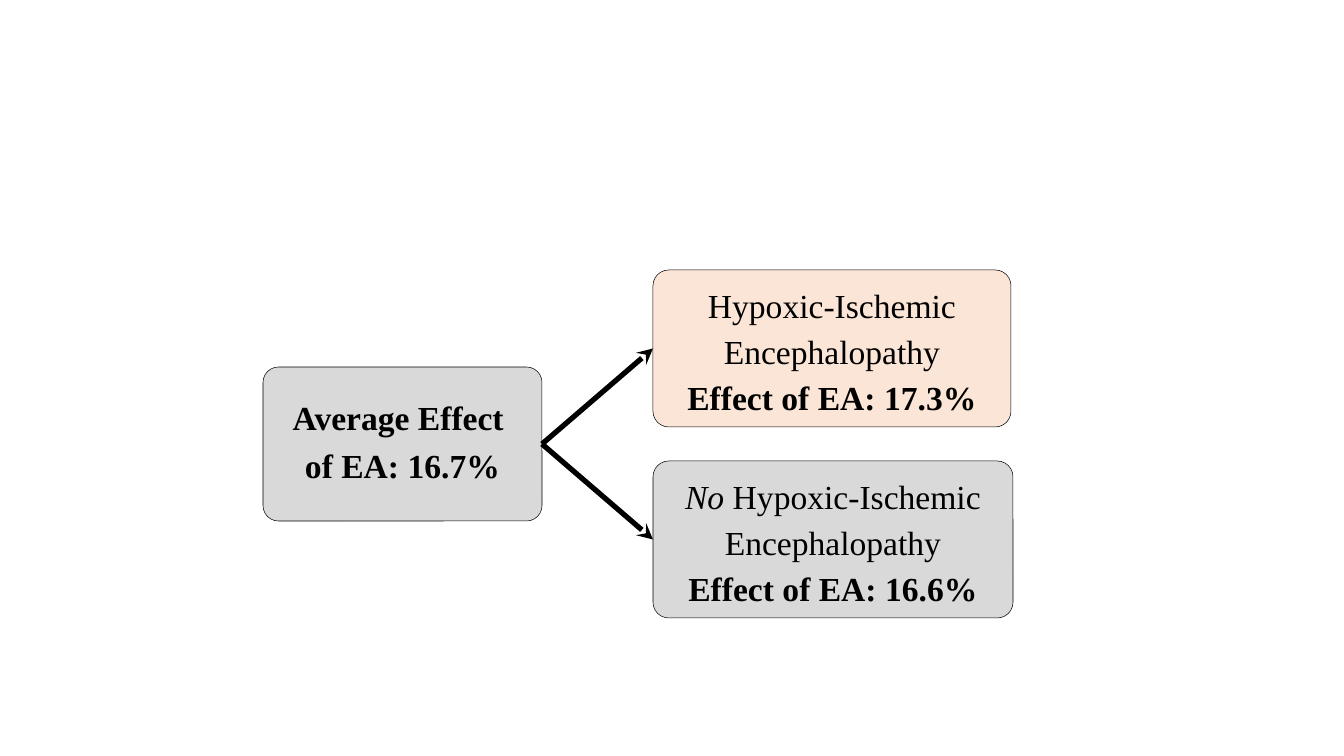
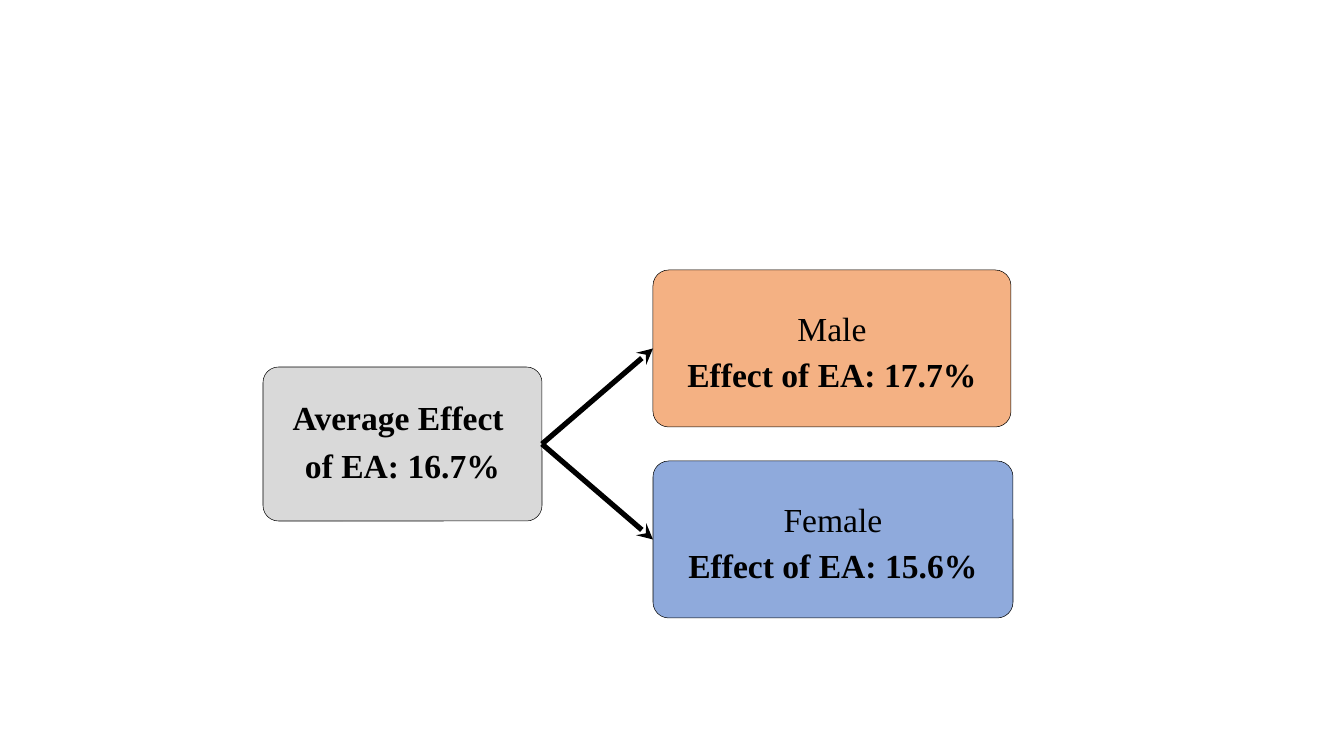
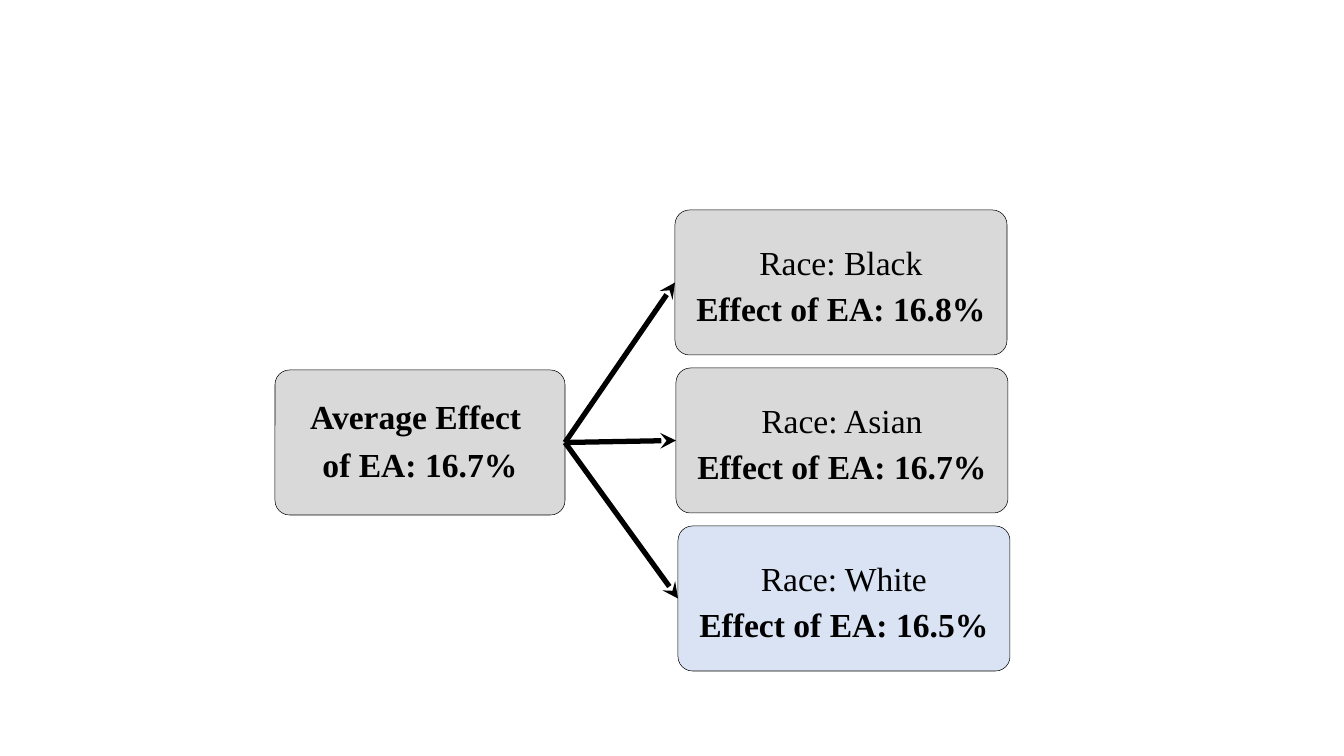
"""Build three slides that split the average effect of EA into subgroups."""
import pptx
import pptx.util
import pptx.dml.color
import pptx.enum.shapes
import pptx.enum.text
import pptx.oxml.ns
import lxml.etree

RGB = pptx.dml.color.RGBColor
BLACK = RGB(0x00, 0x00, 0x00)
GREY = RGB(0xD9, 0xD9, 0xD9)
PEACH = RGB(0xFB, 0xE5, 0xD6)
ORANGE = RGB(0xF4, 0xB1, 0x83)
BLUE = RGB(0x8F, 0xAA, 0xDC)
PALE_BLUE = RGB(0xDA, 0xE3, 0xF3)
FONT = "Times New Roman"
SCALE = 914400 / 50.4

AVERAGE = [[("Average Effect ", "b")], [("of EA: 16.7%", "b")]]
PAIR = {"average": (263, 367, 279, 154),
        "groups": [(653, 270, 358, 157), (653, 461, 360, 157)]}
TRIO = {"average": (275, 370, 290, 145),
        "groups": [(675, 210, 332, 145), (676, 368, 332, 145), (678, 526, 332, 145)]}
SLIDES = [
    (PAIR, [([("Hypoxic-Ischemic Encephalopathy", "")], "17.3%", PEACH),
            ([("No", "i"), (" Hypoxic-Ischemic Encephalopathy", "")], "16.6%", GREY)]),
    (PAIR, [([("Male", "")], "17.7%", ORANGE),
            ([("Female", "")], "15.6%", BLUE)]),
    (TRIO, [([("Race: Black", "")], "16.8%", GREY),
            ([("Race: Asian", "")], "16.7%", GREY),
            ([("Race: White", "")], "16.5%", PALE_BLUE)]),
]


def px(n):
    return pptx.util.Emu(round(n * SCALE))


def sub(parent, tag, **attrs):
    return lxml.etree.SubElement(parent, pptx.oxml.ns.qn(tag), **attrs)


def write(tf, paragraphs, size=48, spacing=1.0, color=BLACK):
    tf.word_wrap = True
    tf.vertical_anchor = pptx.enum.text.MSO_ANCHOR.MIDDLE
    tf.margin_left = tf.margin_right = tf.margin_top = tf.margin_bottom = pptx.util.Inches(0.03)
    for i, runs in enumerate(paragraphs):
        p = tf.add_paragraph() if i else tf.paragraphs[0]
        p.alignment = pptx.enum.text.PP_ALIGN.CENTER
        p.line_spacing = spacing
        sub(sub(p._p.get_or_add_pPr(), "a:spcAft"), "a:spcPct", val="35000")
        for text, style in runs:
            if text == "\n":
                p.add_line_break()
                continue
            r = p.add_run()
            r.text = text
            r.font.name = FONT
            r.font.size = pptx.util.Pt(size)
            r.font.color.rgb = color
            r.font.bold = style == "b"
            r.font.italic = style == "i"


def add_box(s, place, fill, paragraphs, spacing):
    sp = s.shapes.add_shape(pptx.enum.shapes.MSO_SHAPE.ROUNDED_RECTANGLE, *map(px, place))
    sp.adjustments[0] = 0.1
    sp.shadow.inherit = False
    sp.fill.solid()
    sp.fill.fore_color.rgb = fill
    sp.line.color.rgb = BLACK
    sp.line.width = pptx.util.Pt(0.75)
    write(sp.text_frame, paragraphs, spacing=spacing)
    return sp


def add_arrow(s, start, end):
    c = s.shapes.add_connector(pptx.enum.shapes.MSO_CONNECTOR.STRAIGHT, 0, 0, 0, 0)
    c.begin_connect(start, 3)
    c.end_connect(end, 1)
    c.line.color.rgb = BLACK
    c.line.width = pptx.util.Pt(7.5)
    sub(c.line._get_or_add_ln(), "a:tailEnd", type="stealth")
    sub(c._element.spPr, "a:effectLst")


def main():
    prs = pptx.Presentation()
    prs.slide_width, prs.slide_height = px(1344), px(756)
    for layout, groups in SLIDES:
        s = prs.slides.add_slide(prs.slide_layouts[6])
        average = add_box(s, layout["average"], GREY, AVERAGE, 0.9)
        for place, (name, effect, fill) in zip(layout["groups"], groups):
            text = [name + [("\n", ""), (f"Effect of EA: {effect}", "b")]]
            add_arrow(s, average, add_box(s, place, fill, text, 1.14))
    prs.save("out.pptx")


if __name__ == "__main__":
    main()
